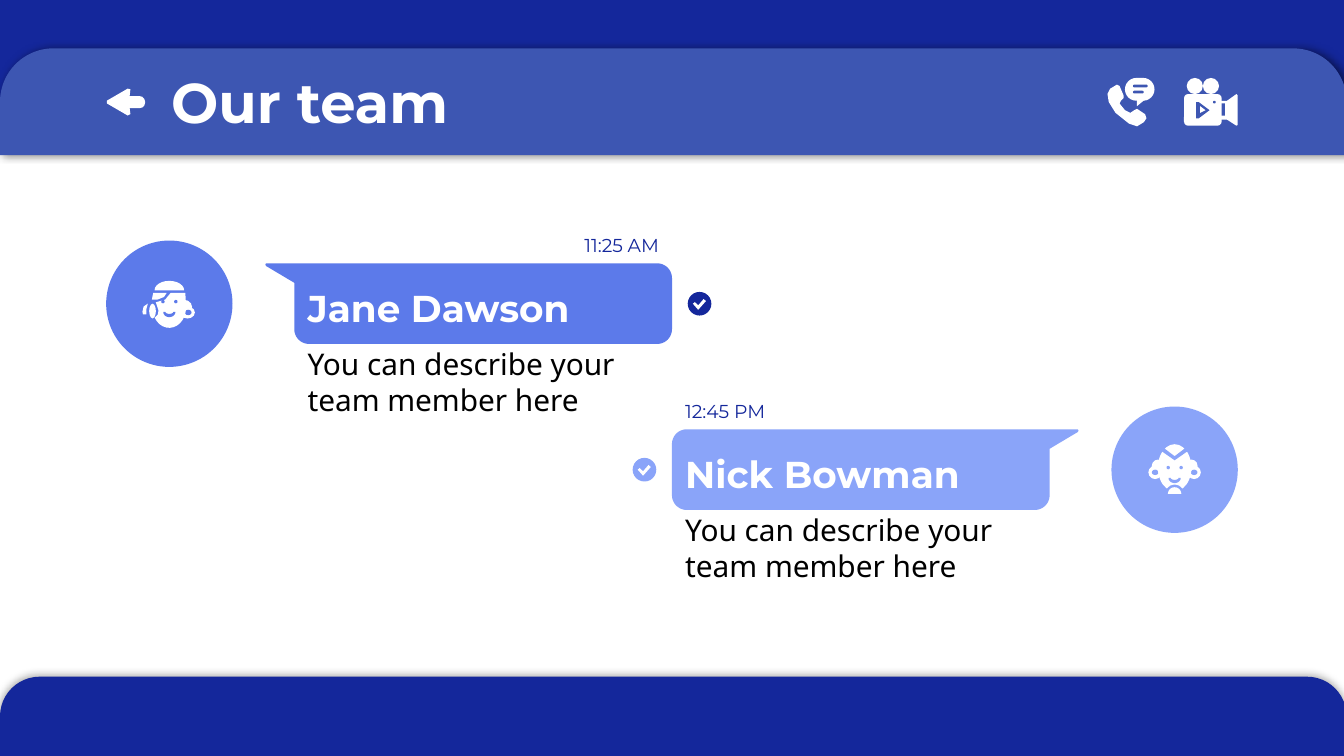
from math import cos, radians, sin

from lxml import etree
from pptx import Presentation
from pptx.dml.color import RGBColor
from pptx.enum.shapes import MSO_SHAPE
from pptx.enum.text import MSO_ANCHOR, PP_ALIGN
from pptx.oxml.ns import qn
from pptx.util import Inches, Pt

OVAL, RECT = MSO_SHAPE.OVAL, MSO_SHAPE.RECTANGLE
ROUND, TAB = MSO_SHAPE.ROUNDED_RECTANGLE, MSO_SHAPE.ROUND_2_SAME_RECTANGLE
LEFT, RIGHT, TOP = PP_ALIGN.LEFT, PP_ALIGN.RIGHT, MSO_ANCHOR.TOP

CELL = Inches(0.1)
COLUMNS, ROWS, MIDDLE = 100, 56.25, 50
COLORS = {"navy": "14279B", "header": "3D56B2", "blue": "5C7AEA",
          "sky": "8AA4F9", "white": "FFFFFF", "black": "000000"}
HEADING, BODY = "Montserrat", "Noto Sans"


def cells(*counts):
    """Turn grid counts into slide lengths."""
    return [round(count * CELL) for count in counts]


def paint(shape, color):
    """Give a shape a flat fill with no line or shadow."""
    shape.fill.solid()
    shape.fill.fore_color.rgb = RGBColor.from_string(COLORS[color])
    shape.line.fill.background()
    shape.shadow.inherit = False


def add_preset(slide, kind, box, color, corner=None):
    """Add a preset shape on the grid."""
    shape = slide.shapes.add_shape(kind, *cells(*box))
    paint(shape, color)
    if corner is not None:
        shape.adjustments[0] = corner
    return shape


def add_outline(slide, points, color, origin=(0, 0)):
    """Add a closed outline through grid points."""
    corners = [cells(origin[0] + x, origin[1] + y) for x, y in points]
    builder = slide.shapes.build_freeform(*corners[0])
    builder.add_line_segments(corners[1:], close=True)
    paint(builder.convert_to_shape(), color)


def add_ovals(slide, origin, color, boxes):
    """Add ellipses given relative to an origin."""
    for x, y, width, height in boxes:
        add_preset(slide, OVAL, (origin[0] + x, origin[1] + y, width, height), color)


def arc(x, y, rx, ry, start, end, steps=12):
    """Return points along an elliptical arc, in degrees."""
    angles = [radians(start + (end - start) * i / steps) for i in range(steps + 1)]
    return [(x + rx * cos(a), y + ry * sin(a)) for a in angles]


def add_shadow(shape, alpha, direction):
    """Cast a soft black shadow."""
    effects = shape._element.spPr.find(qn("a:effectLst"))
    shadow = etree.SubElement(effects, qn("a:outerShdw"), blurRad=str(Pt(4.5)),
                              dist=str(Pt(1.5)), dir=str(direction * 60000),
                              algn="bl", rotWithShape="0")
    tint = etree.SubElement(shadow, qn("a:srgbClr"), val=COLORS["black"])
    etree.SubElement(tint, qn("a:alpha"), val=str(alpha * 1000))


def add_text(slide, box, words, size, color, font=HEADING, bold=False, align=LEFT):
    """Add a wrapped text box with one run."""
    frame = slide.shapes.add_textbox(*cells(*box)).text_frame
    frame.word_wrap = True
    frame.vertical_anchor = TOP
    frame.margin_left = frame.margin_right = CELL
    frame.margin_top = frame.margin_bottom = CELL
    paragraph = frame.paragraphs[0]
    paragraph.alignment = align
    run = paragraph.add_run()
    run.text = words
    run.font.name, run.font.size, run.font.bold = font, Pt(size), bold
    run.font.color.rgb = RGBColor.from_string(COLORS[color])


def add_bars(slide):
    """Add the chat window's top, header and bottom bars."""
    width = COLUMNS + 0.2
    bottom = add_preset(slide, TAB, (0, 50.35, width, ROWS - 50.35), "navy", 0.5)
    add_shadow(bottom, 32, 237)
    add_preset(slide, RECT, (0, 0, width, 10.1), "navy")
    header = add_preset(slide, TAB, (0, 3.6, width, 7.95), "header", 0.5)
    add_shadow(header, 50, 0)


def add_back_arrow(slide):
    """Add the back arrow beside the title."""
    add_outline(slide, [(7.95, 7.5), (9.5, 6.6), (9.7, 6.65), (9.6, 7.6),
                        (9.7, 8.5), (9.5, 8.6), (7.95, 7.7)], "white")
    add_preset(slide, ROUND, (9.2, 7.15, 1.6, 0.9), "white", 0.45)


def add_phone(slide):
    """Add the handset with its speech balloon."""
    add_outline(slide, [(83.1, 6.3), (82.6, 6.6), (82.4, 7), (82.5, 7.6), (83, 8.4),
                        (83.5, 8.8), (84, 9.2), (84.6, 9.4), (85.1, 9.1), (85.3, 8.8),
                        (85.2, 8.5), (84.6, 8.1), (84.4, 8.2), (84.1, 8.4),
                        (83.7, 8.2), (83.3, 7.7), (83.4, 7.5), (83.6, 7.3),
                        (83.6, 7.1), (83.3, 6.4)], "white")
    add_preset(slide, ROUND, (83.7, 5.8, 2.2, 1.7), "white", 0.5)
    add_outline(slide, [(84.6, 7.4), (84.6, 7.9), (85.2, 7.4)], "white")
    for top, width in ((6.3, 1.1), (6.75, 0.8)):
        add_preset(slide, ROUND, (84.3, top, width, 0.2), "header", 0.5)


def add_camera(slide):
    """Add the video camera."""
    add_ovals(slide, (88.3, 5.8), "white", [(0, 0, 1.2, 1.2), (1.2, 0, 1.2, 1.2)])
    add_preset(slide, ROUND, (88.1, 7, 2.8, 2.35), "white", 0.13)
    add_outline(slide, [(90.8, 7.5), (91.3, 7.5), (92, 7), (92.1, 7.1),
                        (92.1, 9.3), (92, 9.35), (91.3, 8.9), (90.8, 8.9)], "white")
    add_preset(slide, RECT, (90.9, 7.7, 0.25, 0.9), "header")
    add_ovals(slide, (90.25, 7.5), "header", [(0, 0, 0.2, 0.2)])
    add_outline(slide, [(89, 7.6), (89.2, 7.6), (90, 8.2), (89.2, 8.8), (89, 8.8)], "header")
    add_outline(slide, [(89.3, 7.9), (89.7, 8.2), (89.3, 8.4)], "white")


def add_smile(slide, center, tone):
    """Add eyes and a smile to a face."""
    eyes = [(dx - 0.12, -0.28, 0.25, 0.25) for dx in (-0.48, 0.48)]
    add_ovals(slide, center, tone, eyes)
    curve = arc(0, 0.62, 0.45, 0.38, 0, 180) + arc(0, 0.6, 0.3, 0.16, 180, 0)
    add_outline(slide, curve, tone, center)


def add_woman(slide, center, tone):
    """Add the woman's face with headband and braid."""
    add_ovals(slide, center, "white", [(0.8, 0.2, 1.1, 0.9), (0.4, -0.3, 1.3, 1.1)])
    add_ovals(slide, center, tone, [(1.15, 0.45, 0.5, 0.4)])
    face = (arc(0, 0.3, 1.25, 1.5, 0, 150)
            + [(-0.85, 0.8), (-0.8, 0.5), (-1, -0.1), (-0.3, -0.3), (0.1, -0.8), (1.2, -0.8)])
    hair = arc(0, -1, 1.1, 0.7, 180, 360)
    fringe = [(-1.2, -0.8), (-1.3, -0.3), (-0.9, -0.3), (-0.4, -0.5), (-0.2, -0.8)]
    braid_end = [(-1.6, 0), (-1.9, 0.2), (-2, 0.6), (-1.95, 0.8), (-1.7, 0.8), (-1.7, 0.4)]
    for points in (hair, fringe, braid_end, face):
        add_outline(slide, points, "white", center)
    add_ovals(slide, center, "white", [(-1.5, 0, 0.5, 1.1)])
    add_smile(slide, center, tone)


def add_man(slide, center, tone):
    """Add the man's face with parted hair and goatee."""
    for side in (-1, 1):
        add_ovals(slide, center, "white", [(side * 1.45 - 0.5, -0.3, 1, 1),
                                           (side * 1.25 - 0.45, -0.75, 0.9, 0.9)])
        add_ovals(slide, center, tone, [(side * 1.45 - 0.25, 0, 0.5, 0.4)])
    add_ovals(slide, center, "white", [(-1.25, -1.9, 2.5, 3.5)])
    add_outline(slide, [(-0.85, -1.65), (0, -1), (0.85, -1.65), (1, -1.4),
                        (0, -0.7), (-1, -1.4)], tone, center)
    add_ovals(slide, center, tone, [(-0.65, 1.1, 1.3, 1.2)])
    add_outline(slide, arc(0, 1.8, 0.5, 0.5, 180, 360), "white", center)
    add_smile(slide, center, tone)


def add_member(slide, side, top, name, time, tone, check_tone, add_face):
    """Add one member's message, mirrored about the middle by side."""
    body, radius = 28.1, 1.1
    tail = [(body, 1.45), (body + 2.1, 0.2), (body + 2.15, 0.1), (body + 2.1, 0)]
    outline = (arc(radius, radius, radius, radius, 270, 180)
               + arc(radius, 6 - radius, radius, radius, 180, 90)
               + arc(body - radius, 6 - radius, radius, radius, 90, 0) + tail)
    add_outline(slide, [(side * x, y) for x, y in outline], tone, (MIDDLE, top))

    left = MIDDLE if side > 0 else MIDDLE - body
    add_text(slide, (left, top + 5.15, 30.3, 7.9), "You can describe your team member here",
             16, "black", BODY)
    add_text(slide, (left, top + 0.65, 24.8, 4.7), name, 20, "white", bold=True)
    time_left, align = (MIDDLE, LEFT) if side > 0 else (MIDDLE - 8.5, RIGHT)
    add_text(slide, (time_left, top - 3.07, 8.5, 3.2), time, 10, "navy", align=align)

    center = (MIDDLE + side * 37.4, top + 3)
    add_ovals(slide, center, tone, [(-4.7, -4.7, 9.4, 9.4)])
    add_face(slide, center, tone)

    badge = (MIDDLE - side * 2.05, top + 3)
    add_ovals(slide, badge, check_tone, [(-0.88, -0.88, 1.76, 1.76)])
    add_outline(slide, [(-0.5, 0), (-0.35, -0.12), (-0.1, 0.12), (0.3, -0.35),
                        (0.48, -0.2), (-0.1, 0.45)], "white", badge)


def main():
    """Build and save the team slide."""
    deck = Presentation()
    deck.slide_width, deck.slide_height = cells(COLUMNS, ROWS)
    slide = deck.slides.add_slide(deck.slide_layouts[6])
    add_bars(slide)
    add_text(slide, (11.75, 4.03, 80.3, 6.3), "Our team", 30, "white", bold=True)
    add_back_arrow(slide)
    add_phone(slide)
    add_camera(slide)
    add_member(slide, -1, 19.6, "Jane Dawson", "11:25 AM", "blue", "navy", add_woman)
    add_member(slide, 1, 31.95, "Nick Bowman", "12:45 PM", "sky", "sky", add_man)
    deck.save("out.pptx")


if __name__ == "__main__":
    main()
